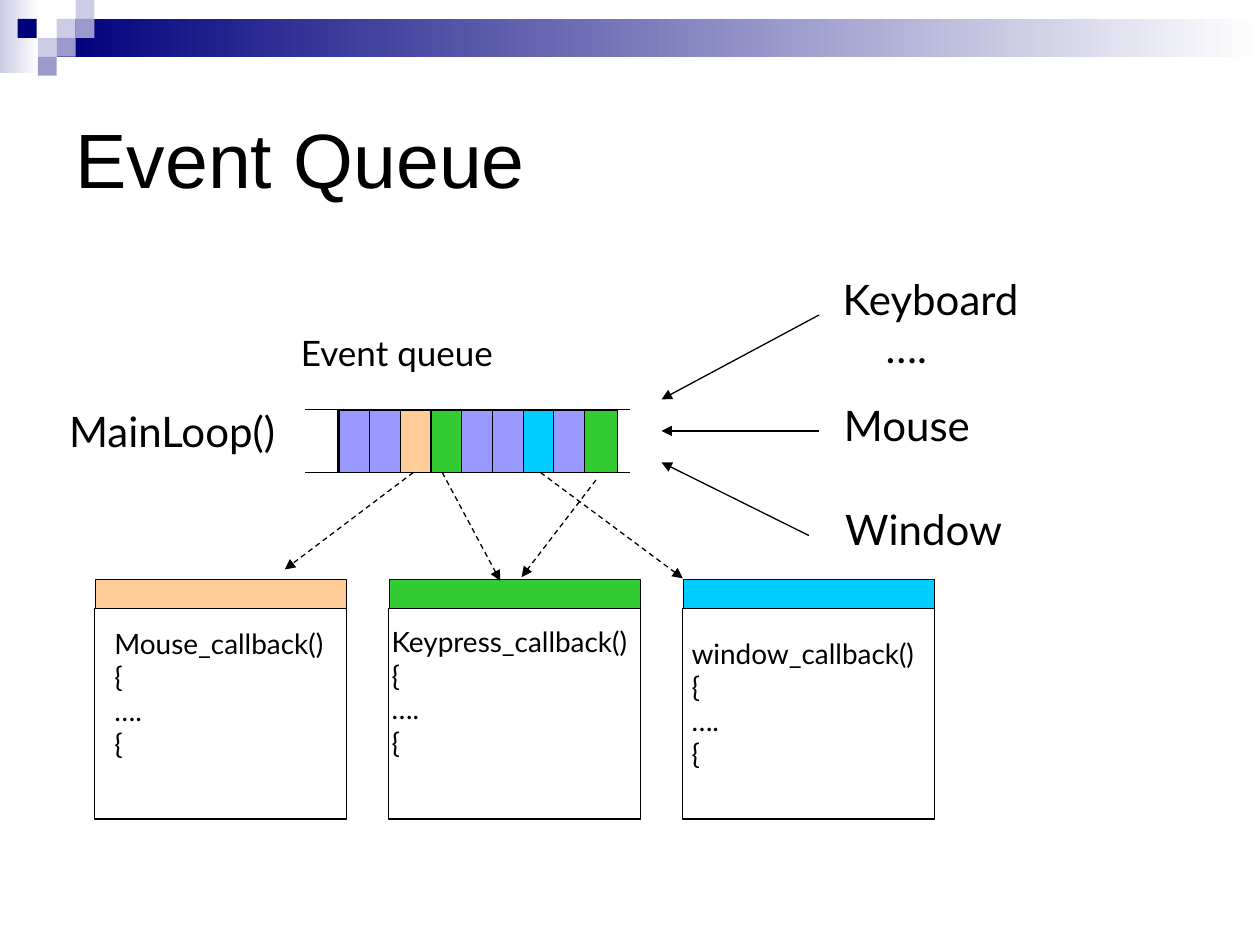
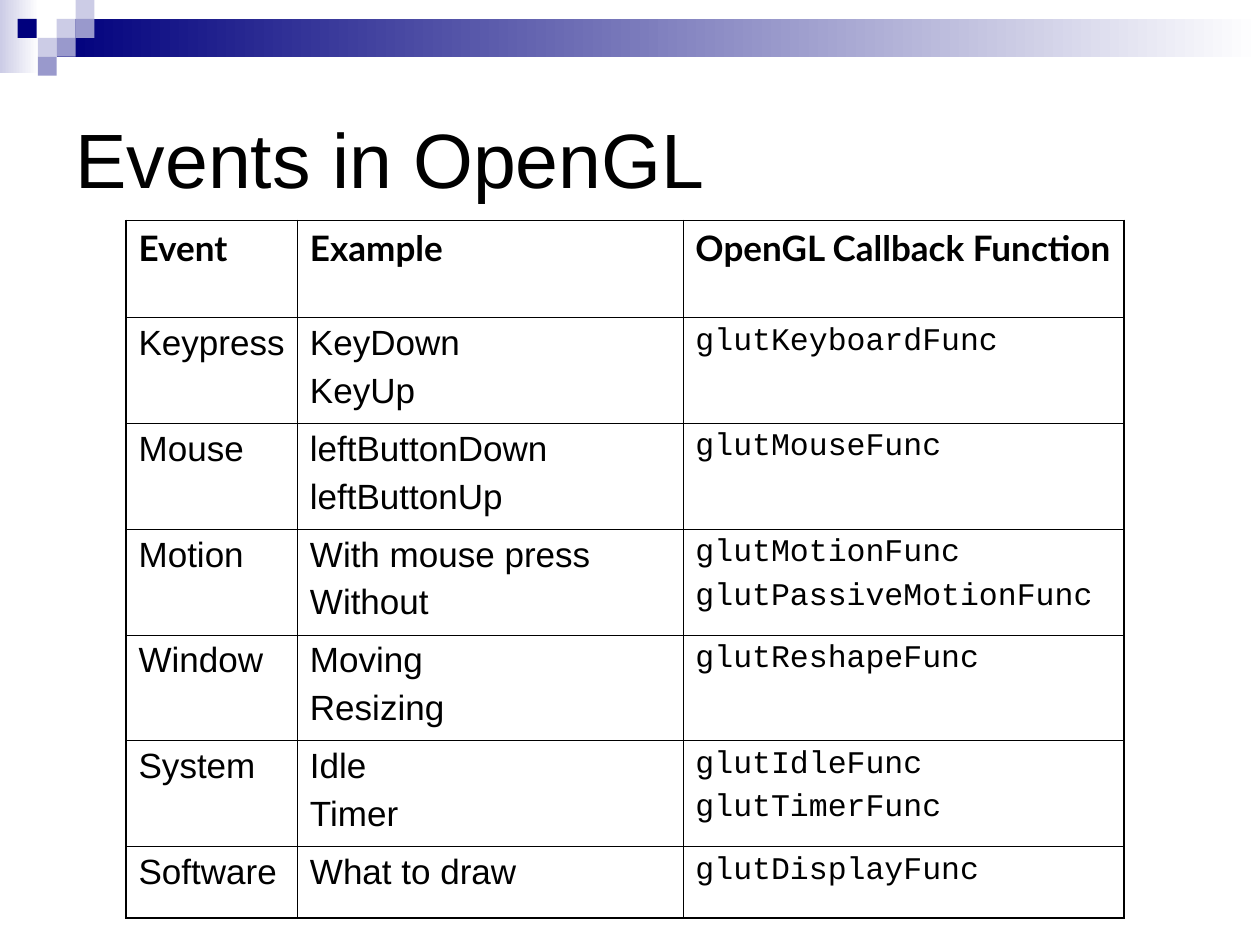
import dataclasses

import pptx
import pptx.dml.color
import pptx.enum.dml
import pptx.enum.shapes
import pptx.enum.text
import pptx.oxml
import pptx.oxml.ns
import pptx.oxml.xmlchemy
import pptx.util

Inches = pptx.util.Inches
Pt = pptx.util.Pt


@dataclasses.dataclass(frozen=True)
class Theme:
    black: str = "000000"
    white: str = "FFFFFF"
    navy: str = "00007D"
    slate: str = "9999CC"
    mist: str = "CCCCE6"
    plain_event: str = "9999FF"
    mouse_event: str = "FFCC99"
    key_event: str = "33CC33"
    window_event: str = "00CCFF"
    title_font: str = "Arial"
    label_font: str = "Lato"
    code_font: str = "Courier New"
    title_size: float = 44
    source_size: float = 24
    label_size: float = 20
    table_code_size: float = 18
    callback_size: float = 16
    line_width: float = 0.75
    outer_border: float = 1.08
    inner_border: float = 0.45


THEME = Theme()

BAND_SQUARE = 0.15
BAND_SQUARES = [
    (0.45, 0.15, THEME.mist), (0.6, 0, THEME.mist), (0.6, 0.15, THEME.slate),
    (0.3, 0.3, THEME.mist), (0.14, 0.15, THEME.navy),
    (0.45, 0.3, THEME.slate), (0.3, 0.45, THEME.slate),
]

QUEUE_TOP, QUEUE_BOTTOM = 3.25, 3.75
QUEUE_EVENTS = [
    THEME.plain_event, THEME.plain_event, THEME.mouse_event,
    THEME.key_event, THEME.plain_event, THEME.plain_event,
    THEME.window_event, THEME.plain_event, THEME.key_event,
]

# text, left, top, width, size
LABELS = [
    ("Event queue", 2.29, 2.58, 1.9, THEME.label_size),
    ("MainLoop()", 0.45, 3.17, 1.96, THEME.source_size),
    ("Keyboard", 6.59, 2.12, 1.7, THEME.source_size),
    ("….", 6.93, 2.5, 0.55, THEME.source_size),
    ("Mouse", 6.6, 3.12, 1.26, THEME.source_size),
    ("Window", 6.61, 3.95, 1.56, THEME.source_size),
]

SOURCE_ARROWS = [
    ((6.5, 2.5), (5.25, 3.17)),
    ((6.5, 3.42), (5.25, 3.42)),
    ((6.42, 4.25), (5.25, 3.67)),
]
DISPATCH_ARROWS = [
    ((3.28, 3.75), (2.26, 4.52)),
    ((3.51, 3.75), (3.97, 4.61)),
    ((4.29, 3.75), (5.42, 4.59)),
    ((4.73, 3.81), (4.14, 4.58)),
]

# function, header colour, code left, code top, code width
CALLBACKS = [
    ("Mouse_callback()", THEME.mouse_event, 0.81, 4.92, 2.02),
    ("Keypress_callback()", THEME.key_event, 3.01, 4.91, 2.26),
    ("window_callback()", THEME.window_event, 5.39, 5, 2.13),
]

EVENT_COLUMNS = [1.36, 3.06, 3.5]
EVENT_ROW_HEIGHTS = [0.77] + [0.84] * 5 + [0.57]
EVENT_ROWS = [
    ("Event", "Example", "OpenGL Callback Function"),
    ("Keypress", "KeyDown\nKeyUp", "glutKeyboardFunc"),
    ("Mouse", "leftButtonDown\nleftButtonUp", "glutMouseFunc"),
    ("Motion", "With mouse press\nWithout",
     "glutMotionFunc\nglutPassiveMotionFunc"),
    ("Window", "Moving\nResizing", "glutReshapeFunc"),
    ("System", "Idle\nTimer", "glutIdleFunc\nglutTimerFunc"),
    ("Software", "What to draw", "glutDisplayFunc"),
]


def rgb(colour):
    return pptx.dml.color.RGBColor.from_string(colour)


def write_lines(frame, lines, font, size, bold=False, space_before=0):
    """Fill a text frame with one left-aligned paragraph per line."""
    for index, line in enumerate(lines):
        para = frame.add_paragraph() if index else frame.paragraphs[0]
        para.alignment = pptx.enum.text.PP_ALIGN.LEFT
        para.space_before = Pt(space_before)
        span = para.add_run()
        span.text = line
        span.font.name = font
        span.font.size = Pt(size)
        span.font.bold = bold
        span.font.color.rgb = rgb(THEME.black)


def add_text(slide, lines, left, top, width, height, size):
    box = slide.shapes.add_textbox(
        Inches(left), Inches(top), Inches(width), Inches(height))
    box.text_frame.word_wrap = True
    write_lines(box.text_frame, lines, THEME.label_font, size)


def add_box(slide, left, top, width, height, fill=None, outlined=True):
    box = slide.shapes.add_shape(
        pptx.enum.shapes.MSO_SHAPE.RECTANGLE,
        Inches(left), Inches(top), Inches(width), Inches(height))
    box.shadow.inherit = False
    if fill:
        box.fill.solid()
        box.fill.fore_color.rgb = rgb(fill)
    else:
        box.fill.background()
    if outlined:
        box.line.color.rgb = rgb(THEME.black)
        box.line.width = Pt(THEME.line_width)
    else:
        box.line.fill.background()
    return box


def add_fading_box(slide, left, top, width, height, colour):
    """Add a box that fades from the colour to white, left to right."""
    box = add_box(slide, left, top, width, height, outlined=False)
    box.fill.gradient()
    box.fill.gradient_angle = 0
    for stop, stop_colour in zip(box.fill.gradient_stops,
                                 (colour, THEME.white)):
        stop.color.rgb = rgb(stop_colour)


def add_line(slide, start, end, arrow=False, dashed=False):
    line = slide.shapes.add_connector(
        pptx.enum.shapes.MSO_CONNECTOR.STRAIGHT,
        *(Inches(length) for length in start + end))
    line.line.color.rgb = rgb(THEME.black)
    line.line.width = Pt(THEME.line_width)
    if dashed:
        line.line.dash_style = pptx.enum.dml.MSO_LINE.DASH
    if arrow:
        tail = pptx.oxml.xmlchemy.OxmlElement("a:tailEnd")
        tail.set("type", "triangle")
        line.line._get_or_add_ln().append(tail)
    no_shadow = pptx.oxml.xmlchemy.OxmlElement("a:effectLst")
    line._element.spPr.append(no_shadow)


def add_band(slide):
    add_fading_box(slide, 0, 0, 0.31, 0.58, THEME.mist)
    add_fading_box(slide, 0.45, 0.15, 9.55, 0.3, THEME.navy)
    for left, top, colour in BAND_SQUARES:
        add_box(slide, left, top, BAND_SQUARE, BAND_SQUARE, colour,
                outlined=False)


def add_titled_slide(deck, title):
    slide = deck.slides.add_slide(deck.slide_layouts[5])
    add_band(slide)
    holder = slide.shapes.title
    holder.left, holder.top = Inches(0.5), Inches(0.5)
    holder.width, holder.height = Inches(9), Inches(1.5)
    holder.text_frame.vertical_anchor = pptx.enum.text.MSO_ANCHOR.MIDDLE
    write_lines(holder.text_frame, [title], THEME.title_font,
                THEME.title_size)
    return slide


def add_queue(slide):
    add_box(slide, 2.68, QUEUE_TOP, 2.11, QUEUE_BOTTOM - QUEUE_TOP)
    for rail in (QUEUE_TOP, QUEUE_BOTTOM):
        add_line(slide, (2.68, rail), (2.42, rail))
        add_line(slide, (5, rail), (4.74, rail))
    pitch = (4.64 - 2.69) / (len(QUEUE_EVENTS) - 1)
    for index, colour in enumerate(QUEUE_EVENTS):
        add_box(slide, 2.69 + index * pitch, 3.26, 0.26, 0.49, colour)


def add_callbacks(slide):
    pitch = 7 / 3
    for index, (name, colour, left, top, width) in enumerate(CALLBACKS):
        box_left = 0.75 + index * pitch
        add_box(slide, box_left, 4.83, 2, 1.67)
        add_box(slide, box_left + 0.01, 4.6, 1.99, 0.23, colour)
        add_text(slide, [name, "{", "….", "{"], left, top, width, 1.17,
                 THEME.callback_size)


def set_borders(cell, widths):
    """Draw cell borders; widths are left, right, top, bottom in points."""
    properties = cell._tc.get_or_add_tcPr()
    for index, (side, width) in enumerate(zip("LRTB", widths)):
        border = pptx.oxml.parse_xml(
            f'<a:ln{side} {pptx.oxml.ns.nsdecls("a")} w="{Pt(width)}">'
            f'<a:solidFill><a:srgbClr val="{THEME.black}"/></a:solidFill>'
            f'</a:ln{side}>')
        properties.insert(index, border)


def add_event_table(slide):
    last_row, last_column = len(EVENT_ROWS) - 1, len(EVENT_COLUMNS) - 1
    table = slide.shapes.add_table(
        len(EVENT_ROWS), len(EVENT_COLUMNS), Inches(1), Inches(1.75),
        Inches(sum(EVENT_COLUMNS)), Inches(sum(EVENT_ROW_HEIGHTS))).table
    table.first_row = table.horz_banding = False
    for column, width in zip(table.columns, EVENT_COLUMNS):
        column.width = Inches(width)
    for row, height in zip(table.rows, EVENT_ROW_HEIGHTS):
        row.height = Inches(height)
    for r, texts in enumerate(EVENT_ROWS):
        for c, text in enumerate(texts):
            if r == 0:
                font, size = THEME.label_font, THEME.label_size
            elif c == last_column:
                font, size = THEME.code_font, THEME.table_code_size
            else:
                font, size = THEME.title_font, THEME.label_size
            cell = table.cell(r, c)
            cell.fill.background()
            write_lines(cell.text_frame, text.split("\n"), font, size,
                        bold=r == 0, space_before=size / 4)
            edges = (c == 0, c == last_column, r == 0, r == last_row)
            set_borders(cell, [
                THEME.outer_border if edge else THEME.inner_border
                for edge in edges])


def build_queue_slide(deck):
    slide = add_titled_slide(deck, "Event Queue")
    add_queue(slide)
    for text, left, top, width, size in LABELS:
        add_text(slide, [text], left, top, width, 0.5, size)
    add_callbacks(slide)
    for start, end in SOURCE_ARROWS:
        add_line(slide, start, end, arrow=True)
    for start, end in DISPATCH_ARROWS:
        add_line(slide, start, end, arrow=True, dashed=True)


def build_events_slide(deck):
    slide = add_titled_slide(deck, "Events in OpenGL")
    add_event_table(slide)


def main():
    deck = pptx.Presentation()
    deck.slide_width, deck.slide_height = Inches(10), Inches(7.5)
    build_queue_slide(deck)
    build_events_slide(deck)
    deck.save("out.pptx")


if __name__ == "__main__":
    main()
